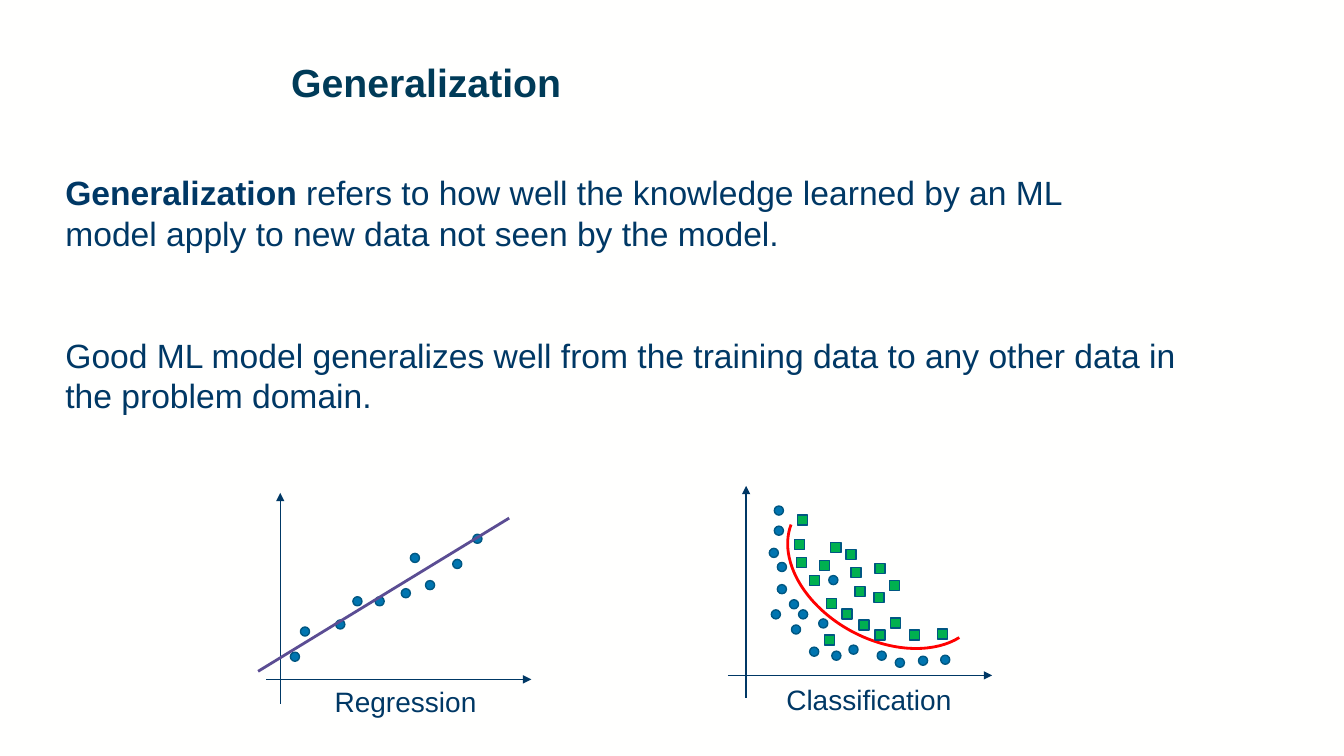
from lxml import etree
from pptx import Presentation, util as u
from pptx.dml.color import RGBColor
from pptx.enum import shapes, text
from pptx.oxml import ns

COLUMNS, ROWS = 1333, 750
CELL = u.Inches(0.01)

BACKGROUND = RGBColor(0xFF, 0xFF, 0xFE)
TITLE = RGBColor(0x00, 0x3B, 0x58)
NAVY = RGBColor(0x00, 0x38, 0x65)
BLUE = RGBColor(0x00, 0x75, 0xB0)
OUTLINE = RGBColor(0x00, 0x57, 0x82)
GREEN = RGBColor(0x00, 0xB0, 0x50)
PURPLE = RGBColor(0x5B, 0x4D, 0x93)
RED = RGBColor(0xFF, 0x00, 0x00)

OVAL = shapes.MSO_SHAPE.OVAL
SQUARE = shapes.MSO_SHAPE.RECTANGLE

REGRESSION_DOTS = [
    (298, 622), (333, 615), (350, 592), (398, 584), (407, 549),
    (449, 555), (469, 530), (422, 576), (288, 647), (372, 592),
]
CLASS_DOTS = [
    (765, 605), (785, 620), (803, 642), (763, 544), (771, 580), (792, 605),
    (783, 595), (812, 614), (822, 571), (842, 640), (768, 502), (771, 558),
    (825, 646), (870, 646), (911, 651), (768, 522), (888, 653), (933, 650),
]
CLASS_SQUARES = [
    (824, 538), (820, 594), (835, 604), (852, 615), (839, 545), (844, 563),
    (788, 535), (813, 556), (818, 630), (868, 559), (882, 576), (867, 588),
    (883, 613), (868, 625), (902, 625), (848, 582), (803, 571), (791, 511),
    (790, 553), (930, 624),
]


def cells(*counts):
    return [count * CELL for count in counts]


def add_text(slide, box, segments, size, color, spacing=None):
    shape = slide.shapes.add_textbox(*cells(*box))
    frame = shape.text_frame
    frame.word_wrap = True
    frame.vertical_anchor = text.MSO_ANCHOR.TOP
    paragraph = frame.paragraphs[0]
    paragraph.line_spacing = spacing
    for words, bold in segments:
        run = paragraph.add_run()
        run.text = words
        run.font.name = "Arial"
        run.font.size = u.Pt(size)
        run.font.bold = bold
        run.font.color.rgb = color


def add_line(group, start, end, color, width, arrow=False):
    line = group.shapes.add_connector(
        shapes.MSO_CONNECTOR.STRAIGHT, *cells(*start, *end))
    line.line.color.rgb = color
    line.line.width = u.Pt(width)
    if arrow:
        outline = line.line._get_or_add_ln()
        etree.SubElement(outline, ns.qn("a:tailEnd"), type="triangle")
    etree.SubElement(line._element.spPr, ns.qn("a:effectLst"))


def add_axes(group, left, right, baseline, axis, top, bottom):
    add_line(group, (left, baseline), (right, baseline), NAVY, 1, arrow=True)
    add_line(group, (axis, bottom), (axis, top), NAVY, 1, arrow=True)


def add_markers(group, kind, points, size, color):
    for left, top in points:
        marker = group.shapes.add_shape(kind, *cells(left, top, size, size))
        marker.shadow.inherit = False
        marker.fill.solid()
        marker.fill.fore_color.rgb = color
        marker.line.color.rgb = OUTLINE
        marker.line.width = u.Pt(1)


def add_boundary(group):
    arc = group.shapes.add_shape(
        shapes.MSO_SHAPE.ARC, *cells(775, 492, 208, 143))
    arc.adjustments[0] = 117.34
    arc.adjustments[1] = 213.93
    arc.rotation = 208
    arc.shadow.inherit = False
    arc.fill.background()
    arc.line.color.rgb = RED
    arc.line.width = u.Pt(2)


def add_regression(slide):
    group = slide.shapes.add_group_shape()
    add_axes(group, 264, 527, 674, 278, 489, 698)
    add_markers(group, OVAL, REGRESSION_DOTS, 9, BLUE)
    add_line(group, (256, 666), (505, 514), PURPLE, 2)
    add_text(slide, (322, 674, 165, 44), [("Regression", False)], 20, NAVY)


def add_classification(slide):
    group = slide.shapes.add_group_shape()
    add_boundary(group)
    add_axes(group, 722, 984, 670, 740, 482, 692)
    add_markers(group, OVAL, CLASS_DOTS, 9, BLUE)
    add_markers(group, SQUARE, CLASS_SQUARES, 10, GREEN)
    add_text(slide, (770, 672, 192, 44), [("Classification", False)], 20, NAVY)


def main():
    presentation = Presentation()
    presentation.slide_width, presentation.slide_height = cells(COLUMNS, ROWS)
    slide = presentation.slides.add_slide(presentation.slide_layouts[6])
    slide.background.fill.solid()
    slide.background.fill.fore_color.rgb = BACKGROUND

    add_text(slide, (279, 58, 1007, 97), [("Generalization", True)],
             28, TITLE, 0.9)
    add_text(slide, (55, 166, 1060, 91), [
        ("Generalization", True),
        (" refers to how well the knowledge learned by an ML model apply "
         "to new data not seen by the model.", False),
    ], 24, NAVY)
    add_text(slide, (55, 327, 1132, 91), [
        ("Good ML model generalizes well from the training data to any "
         "other data in the problem domain.", False),
    ], 24, NAVY)
    add_regression(slide)
    add_classification(slide)
    presentation.save("out.pptx")


if __name__ == "__main__":
    main()
